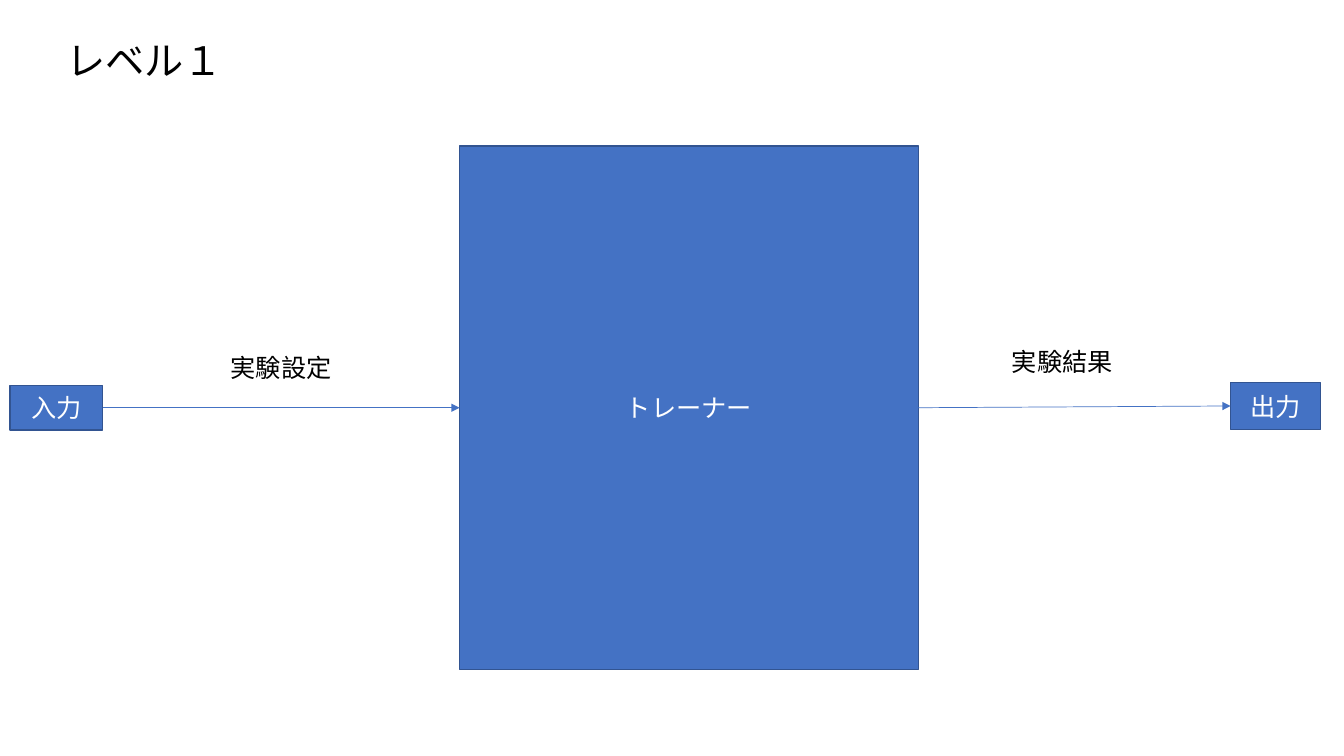
from lxml.etree import SubElement as Sub
from pptx import Presentation
from pptx.dml.color import RGBColor as RGB
from pptx.enum.shapes import MSO_CONNECTOR as LINE, MSO_SHAPE as SHAPE
from pptx.enum.text import MSO_ANCHOR as ANCHOR, MSO_AUTO_SIZE as FIT, PP_ALIGN as ALIGN
from pptx.oxml.ns import qn
from pptx.util import Pt

FONT = "Noto Sans CJK JP"
HUES = {"fill": "4472C4", "edge": "325491", "dark": "000000", "light": "FFFFFF"}
LEFT, RIGHT = 1, 3  # connection sites of a rectangle


def hue(name):
    return RGB.from_string(HUES[name])


def write(frame, text, size, tint):
    run = frame.paragraphs[0].add_run()
    run.text = text
    run.font.size = Pt(size)
    run.font.color.rgb = hue(tint)
    run.font.name = FONT
    Sub(run.font._element, qn("a:ea"), typeface=FONT)


# Slide
deck = Presentation()
deck.slide_width, deck.slide_height = Pt(960), Pt(540)
slide = deck.slides.add_slide(deck.slide_layouts[6])
shapes = slide.shapes

# Boxes: input, trainer, output
boxes = []
for text, *spot in [
    ("入力", 7.2, 275.25, 66.2, 32),
    ("トレーナー", 328.3, 104.4, 327.6, 373.7),
    ("出力", 879.1, 273.1, 64.1, 33.8),
]:
    box = shapes.add_shape(SHAPE.RECTANGLE, *map(Pt, spot))
    box.shadow.inherit = False
    box.fill.solid()
    box.fill.fore_color.rgb = hue("fill")
    box.line.color.rgb = hue("edge")
    box.line.width = Pt(1)
    frame = box.text_frame
    frame.word_wrap = True
    frame.vertical_anchor = ANCHOR.MIDDLE
    frame.paragraphs[0].alignment = ALIGN.CENTER
    write(frame, text, 18, "light")
    boxes.append(box)

# Arrows from each box to the next
for start, end in zip(boxes, boxes[1:]):
    link = shapes.add_connector(LINE.STRAIGHT, 0, 0, 0, 0)
    link.begin_connect(start, RIGHT)
    link.end_connect(end, LEFT)
    link.line.color.rgb = hue("fill")
    link.line.width = Pt(0.5)
    Sub(link.line._get_or_add_ln(), qn("a:tailEnd"), type="triangle")
    Sub(link._element.spPr, qn("a:effectLst"))

# Title and arrow labels
for text, size, left, top, high in [
    ("レベル１", 28, 40.3, 22.3, 41.2),
    ("実験設定", 18, 157.7, 248.4, 29.1),
    ("実験結果", 18, 715.7, 244.1, 29.1),
]:
    note = shapes.add_textbox(Pt(left), Pt(top), Pt(144.7), Pt(high))
    note.text_frame.word_wrap = True
    note.text_frame.auto_size = FIT.SHAPE_TO_FIT_TEXT
    write(note.text_frame, text, size, "dark")

deck.save("out.pptx")
